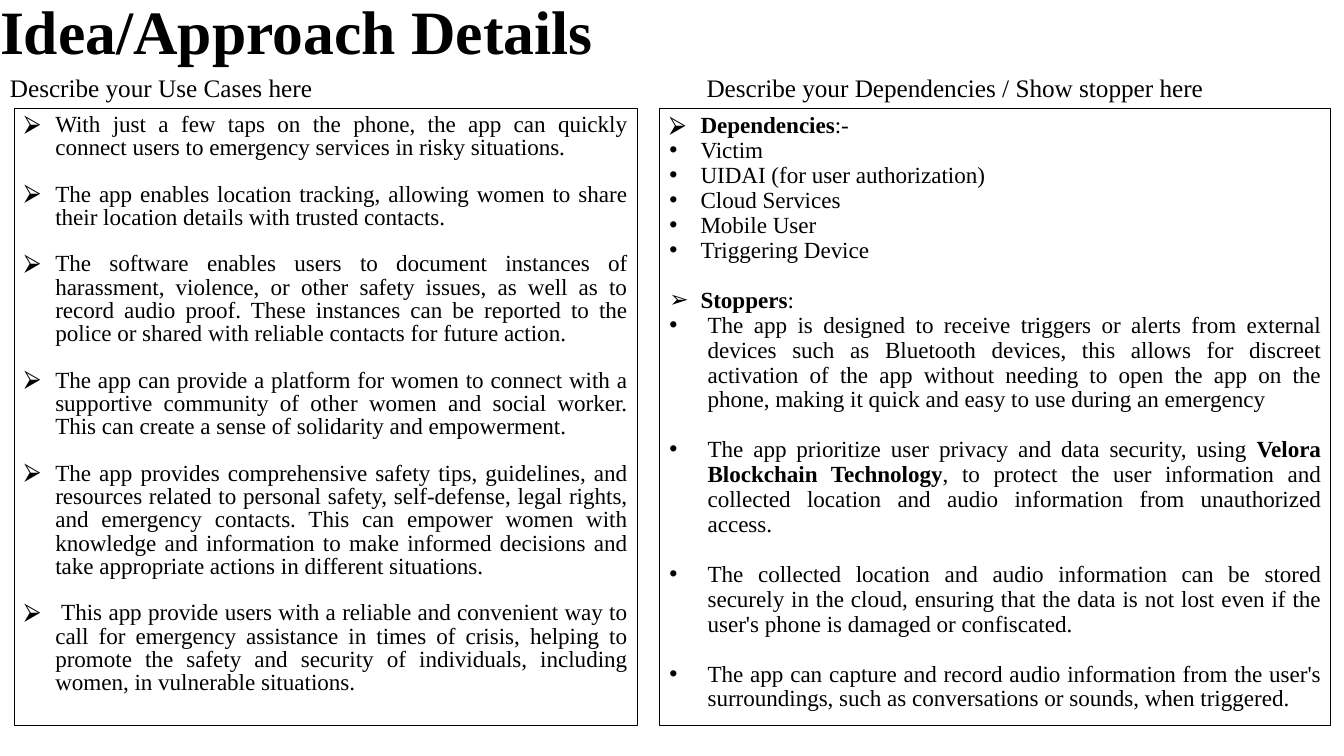
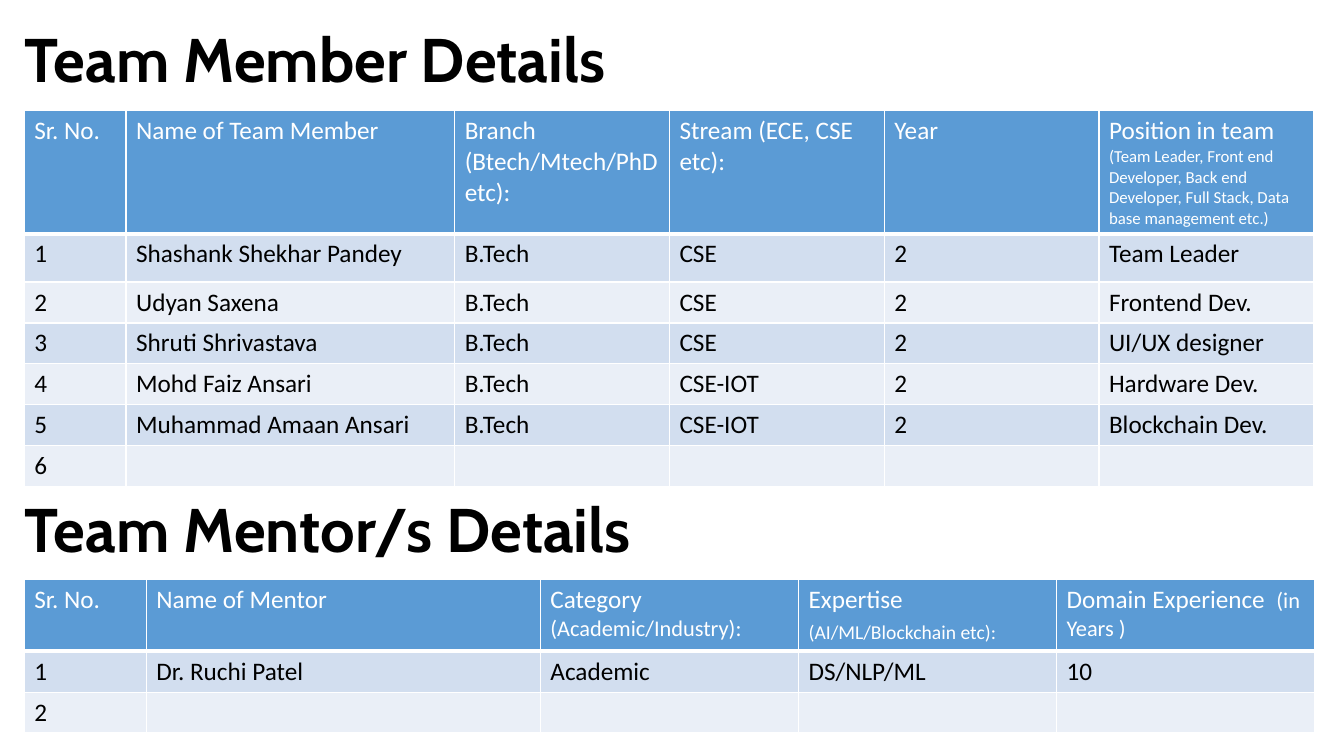
from lxml import etree
from pptx import Presentation
from pptx import util as u
from pptx.dml import color
from pptx.enum import shapes, text
from pptx.oxml import ns

BLACK, WHITE = "000000", "FFFFFF"
HEADER_FILL, BAND_FILLS = "5B9BD5", ("D2DEEF", "EAEFF7")
SERIF, SANS, DISPLAY = "Times New Roman", "Calibri", "Cabin"
ARROW, THIN_ARROW, DOT = "⮚", "➢", "•"
TITLE_ONLY = 5

USE_CASES = [
    "With just a few taps on the phone, the app can quickly connect users to emergency services in risky situations.",
    "The app enables location tracking, allowing women to share their location details with trusted contacts.",
    "The software enables users to document instances of harassment, violence, or other safety issues, as well as "
    "to record audio proof. These instances can be reported to the police or shared with reliable contacts for "
    "future action.",
    "The app can provide a platform for women to connect with a supportive community of other women and social "
    "worker. This can create a sense of solidarity and empowerment.",
    "The app provides comprehensive safety tips, guidelines, and resources related to personal safety, self-defense, "
    "legal rights, and emergency contacts. This can empower women with knowledge and information to make informed "
    "decisions and take appropriate actions in different situations.",
    " This app provide users with a reliable and convenient way to call for emergency assistance in times of crisis, "
    "helping to promote the safety and security of individuals, including women, in vulnerable situations.",
]
DEPENDENCIES = ["Victim", "UIDAI (for user authorization)", "Cloud Services", "Mobile User", "Triggering Device"]
STOPPERS = [
    [("The app is designed to receive triggers or alerts from external devices such as Bluetooth devices, this "
      "allows for discreet activation of the app without needing to open the app on the phone, making it quick "
      "and easy to use during an emergency", False)],
    [("The app prioritize user privacy and data security, using ", False),
     ("Velora Blockchain Technology", True),
     (", to protect the user information and collected location and audio information from unauthorized access.",
      False)],
    [("The collected location and audio information can be stored securely in the cloud, ensuring that the data "
      "is not lost even if the user's phone is damaged or confiscated. ", False)],
    [("The app can capture and record audio information from the user's surroundings, such as conversations or "
      "sounds, when triggered.", False)],
]
MEMBER_HEADER = [
    [("Sr. No.", 18)], [("Name of Team Member", 18)], [("Branch (Btech/Mtech/PhD etc):", 18)],
    [("Stream (ECE, CSE etc):", 18)], [("Year", 18)],
    [("Position in team ", 18),
     ("(Team Leader, Front end Developer, Back end Developer, Full Stack, Data base management etc.)", 12)],
]
MEMBERS = [
    ("1", "Shashank Shekhar Pandey", "B.Tech", "CSE", "2", "Team Leader"),
    ("2", "Udyan Saxena", "B.Tech", "CSE", "2", "Frontend Dev."),
    ("3", "Shruti Shrivastava", "B.Tech", "CSE", "2", "UI/UX designer"),
    ("4", "Mohd Faiz Ansari", "B.Tech", "CSE-IOT", "2", "Hardware Dev."),
    ("5", "Muhammad Amaan Ansari", "B.Tech", "CSE-IOT", "2", "Blockchain Dev."),
    ("6", "", "", "", "", ""),
]
MENTOR_HEADER = [
    [("Sr. No.", 18)], [("Name of Mentor", 18)],
    [("Category ", 18), ("(Academic/Industry):", 16)],
    [("Expertise ", 18), ("(AI/ML/Blockchain etc):", 14), (" ", 18)],
    [("Domain Experience  ", 18), ("(in Years )", 16)],
]
MENTORS = [("1", "Dr. Ruchi Patel", "Academic", "DS/NLP/ML", "10"), ("2", "", "", "", "")]


def rgb(value):
    """Turn a hex string into a colour."""
    return color.RGBColor.from_string(value)


def inches(box):
    """Turn left, top, width and height into lengths."""
    return [u.Inches(value) for value in box]


def add_span(para, words, size, font, hue=BLACK, bold=False):
    """Add one formatted run to a paragraph."""
    span = para.add_run()
    span.text = words
    span.font.size, span.font.name, span.font.bold = u.Pt(size), font, bold
    span.font.color.rgb = rgb(hue)


def set_bullet(para, mark, indent):
    """Give a paragraph a hanging bullet."""
    props = para._p.get_or_add_pPr()
    props.set("marL", str(u.Inches(indent)))
    props.set("indent", str(-u.Inches(indent)))
    hue = etree.SubElement(props, ns.qn("a:buClr"))
    etree.SubElement(hue, ns.qn("a:srgbClr"), val=BLACK)
    etree.SubElement(props, ns.qn("a:buFont"), typeface="Arial")
    etree.SubElement(props, ns.qn("a:buChar"), char=mark)


def set_borders(cell, widths):
    """Draw white cell borders, given widths for left, right, top and bottom."""
    props = cell._tc.get_or_add_tcPr()
    for place, (side, width) in enumerate(zip("LRTB", widths)):
        line = etree.Element(ns.qn(f"a:ln{side}"), w=str(u.Pt(width)))
        fill = etree.SubElement(line, ns.qn("a:solidFill"))
        etree.SubElement(fill, ns.qn("a:srgbClr"), val=WHITE)
        props.insert(place, line)


def format_heading(shape, box, words, font):
    """Place a large bold heading in its box."""
    shape.left, shape.top, shape.width, shape.height = inches(box)
    frame = shape.text_frame
    frame.word_wrap, frame.auto_size = True, text.MSO_AUTO_SIZE.NONE
    frame.vertical_anchor = text.MSO_ANCHOR.BOTTOM
    frame.margin_left = frame.margin_right = frame.margin_top = frame.margin_bottom = 0
    para = frame.paragraphs[0]
    para.alignment, para.line_spacing = text.PP_ALIGN.LEFT, 0.9
    add_span(para, words, 44, font, bold=True)


def add_caption(page, box, words):
    """Add the caption above a panel."""
    frame = page.shapes.add_textbox(*inches(box)).text_frame
    frame.word_wrap = True
    para = frame.paragraphs[0]
    para.line_spacing = 0.9
    add_span(para, words, 18, SERIF)


def add_panel(page, box, items, spacing):
    """Add an outlined panel of bullets given as mark, indent, gap before and runs."""
    panel = page.shapes.add_shape(shapes.MSO_SHAPE.RECTANGLE, *inches(box))
    panel.shadow.inherit = False
    panel.fill.background()
    panel.line.color.rgb, panel.line.width = rgb(BLACK), u.Pt(0.75)
    frame = panel.text_frame
    frame.word_wrap, frame.vertical_anchor = True, text.MSO_ANCHOR.TOP
    for index, (mark, indent, gap, runs) in enumerate(items):
        para = frame.add_paragraph() if index else frame.paragraphs[0]
        para.alignment, para.line_spacing = text.PP_ALIGN.JUSTIFY, spacing
        para.space_before = u.Pt(gap)
        set_bullet(para, mark, indent)
        for words, bold in runs:
            add_span(para, words, 16.5, SERIF, bold=bold)


def add_grid(page, box, columns, heights, header, records):
    """Add a banded table with a coloured header row."""
    rows = [header] + [[[(words, 18)] for words in record] for record in records]
    table = page.shapes.add_table(len(rows), len(columns), *inches(box)).table
    for column, width in zip(table.columns, columns):
        column.width = u.Inches(width)
    for index, runs_by_cell in enumerate(rows):
        table.rows[index].height = u.Inches(heights[index])
        fill, hue = (BAND_FILLS[(index - 1) % 2], BLACK) if index else (HEADER_FILL, WHITE)
        for cell, runs in zip(table.rows[index].cells, runs_by_cell):
            cell.fill.solid()
            cell.fill.fore_color.rgb = rgb(fill)
            set_borders(cell, (1, 1, 3 if index == 1 else 1, 1 if index else 3))
            for words, size in runs:
                if words:
                    add_span(cell.text_frame.paragraphs[0], words, size, SANS, hue)


def add_page(deck, box, title, font):
    """Add a title-only slide and place its title."""
    page = deck.slides.add_slide(deck.slide_layouts[TITLE_ONLY])
    format_heading(page.shapes.title, box, title, font)
    return page


def build_approach(deck):
    """Build the slide of use cases, dependencies and stoppers."""
    page = add_page(deck, (0, 0, 6.32, 0.67), "Idea/Approach Details", SERIF)
    add_caption(page, (0, 0.7, 5.29, 0.35), "Describe your Use Cases here")
    add_caption(page, (6.91, 0.7, 5.83, 0.35), "Describe your Dependencies / Show stopper here")
    cases = [(ARROW, 0.31, 16.6 if index else 0, [(words, False)]) for index, words in enumerate(USE_CASES)]
    limits = [(ARROW, 0.31, 0, [("Dependencies", True), (":-", False)])]
    limits += [(DOT, 0.31, 0, [(words, False)]) for words in DEPENDENCIES]
    limits.append((THIN_ARROW, 0.31, 17.8, [("Stoppers", True), (":", False)]))
    limits += [(DOT, 0.38, 17.8 if index else 0, runs) for index, runs in enumerate(STOPPERS)]
    add_panel(page, (0.14, 1.08, 6.18, 6.12), cases, 0.84)
    add_panel(page, (6.54, 1.08, 6.66, 6.12), limits, 0.9)


def build_team(deck):
    """Build the slide of team members and mentors."""
    page = add_page(deck, (0.24, 0.28, 7.24, 0.67), "Team Member Details", DISPLAY)
    mentor_box = (0.24, 4.94, 7.24, 0.67)
    format_heading(page.shapes.add_textbox(*inches(mentor_box)), mentor_box, "Team Mentor/s Details", DISPLAY)
    add_grid(page, (0.24, 1.1, 12.78, 3.68), [1.01, 3.26] + [2.13] * 4, [1.21, 0.48] + [0.4] * 5,
             MEMBER_HEADER, MEMBERS)
    add_grid(page, (0.24, 5.75, 12.78, 1.51), [1.21, 3.91] + [2.56] * 3, [0.71, 0.4, 0.4],
             MENTOR_HEADER, MENTORS)


def main():
    """Build and save the deck."""
    deck = Presentation()
    deck.slide_width, deck.slide_height = u.Inches(13.33), u.Inches(7.5)
    build_approach(deck)
    build_team(deck)
    deck.save("out.pptx")


if __name__ == "__main__":
    main()
